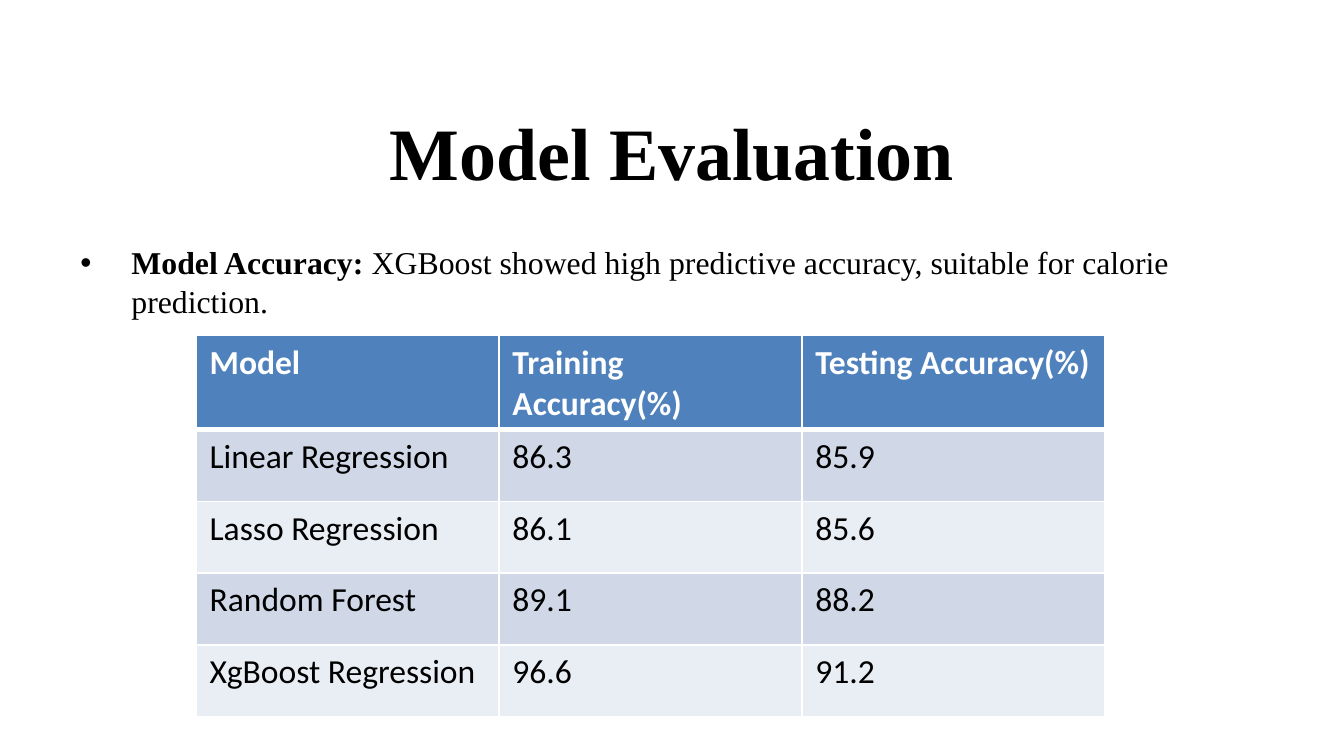
from lxml import etree
from pptx import Presentation
from pptx.dml.color import RGBColor
from pptx.enum.text import MSO_ANCHOR, PP_ALIGN
from pptx.oxml.ns import qn
from pptx.util import Inches, Pt

CENTER, MIDDLE = PP_ALIGN.CENTER, MSO_ANCHOR.MIDDLE
BLACK, WHITE = RGBColor(0, 0, 0), RGBColor(255, 255, 255)
BLUE = RGBColor(0x4F, 0x81, 0xBD)
BANDS = RGBColor(0xD0, 0xD8, 0xE8), RGBColor(0xE9, 0xED, 0xF4)
SERIF, SANS = "Times New Roman", "Calibri"
W = Inches(10)
H = W * 9 // 16
MARGIN = 0.05  # share of the slide width

ROWS = [
    ("Model", "Training Accuracy(%)", "Testing Accuracy(%)"),
    ("Linear Regression", "86.3", "85.9"),
    ("Lasso Regression", "86.1", "85.6"),
    ("Random Forest", "89.1", "88.2"),
    ("XgBoost Regression", "96.6", "91.2"),
]


def share(left, top, width, height):
    """Turn shares of the slide into a box in EMU."""
    return int(W * left), int(H * top), int(W * width), int(H * height)


def add_run(p, text, font, size, color=BLACK, bold=False):
    r = p.add_run()
    r.text = text
    r.font.name, r.font.size, r.font.bold = font, Pt(size), bold
    r.font.color.rgb = color


def add_text_box(s, box):
    tf = s.shapes.add_textbox(*box).text_frame
    tf.word_wrap = True
    return tf


def add_title(s, box):
    tf = add_text_box(s, box)
    tf.vertical_anchor = MIDDLE
    p = tf.paragraphs[0]
    p.alignment = CENTER
    add_run(p, "Model Evaluation", SERIF, 39.6, bold=True)


def add_finding(s, box):
    p = add_text_box(s, box).paragraphs[0]
    p.space_before = Pt(3.4)
    pPr = p._p.get_or_add_pPr()
    indent = Inches(0.38)
    pPr.set("marL", str(indent))
    pPr.set("indent", str(-indent))
    etree.SubElement(pPr, qn("a:buFont")).set("typeface", "Arial")
    etree.SubElement(pPr, qn("a:buChar")).set("char", "•")
    add_run(p, "Model Accuracy: ", SERIF, 17, bold=True)
    add_run(p, "XGBoost showed high predictive accuracy, "
               "suitable for calorie prediction.", SERIF, 17)


def add_borders(cell, widths):
    """Draw white left, right, top and bottom borders, widths in points."""
    tcPr = cell._tc.get_or_add_tcPr()
    for side, width in zip("LRTB", widths):
        ln = etree.SubElement(tcPr, qn(f"a:ln{side}"), w=str(Pt(width)))
        fill = etree.SubElement(ln, qn("a:solidFill"))
        etree.SubElement(fill, qn("a:srgbClr")).set("val", str(WHITE))


def add_accuracy_table(s, box):
    table = s.shapes.add_table(len(ROWS), len(ROWS[0]), *box).table
    for i, row in enumerate(ROWS):
        header = i == 0
        for j, text in enumerate(row):
            cell = table.cell(i, j)
            add_borders(cell, (1, 1, 3 if i == 1 else 1, 3 if header else 1))
            cell.fill.solid()
            cell.fill.fore_color.rgb = BLUE if header else BANDS[(i - 1) % 2]
            add_run(cell.text_frame.paragraphs[0], text, SANS, 18,
                    WHITE if header else BLACK, header)


def main():
    prs = Presentation()
    prs.slide_width, prs.slide_height = W, H
    s = prs.slides.add_slide(prs.slide_layouts[6])
    content = 1 - 2 * MARGIN
    add_title(s, share(MARGIN, 0.137, content, 0.125))
    add_finding(s, share(MARGIN, 0.313, content, 0.58))
    add_accuracy_table(s, share(0.146, 0.444, 0.676, 0.474))
    prs.save("out.pptx")


if __name__ == "__main__":
    main()
